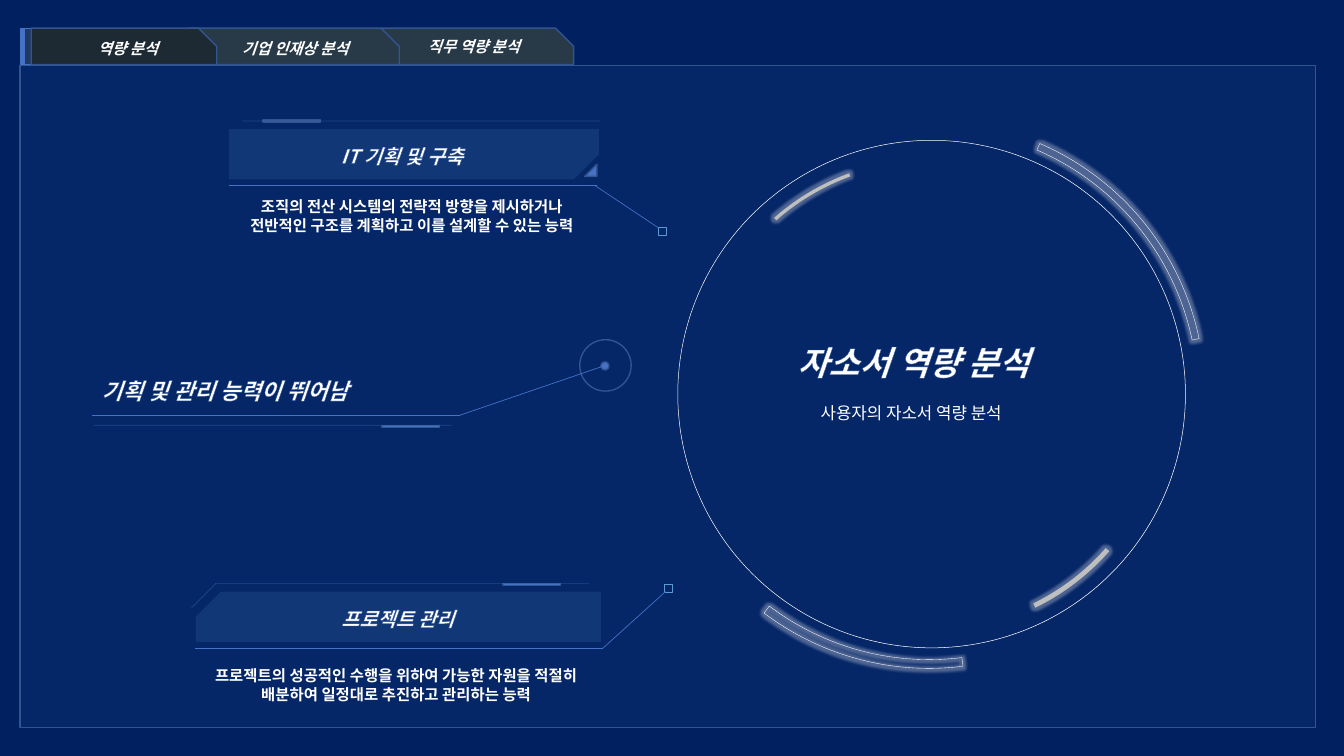
from dataclasses import dataclass

from lxml import etree
from pptx import Presentation
from pptx.dml.color import RGBColor
from pptx.enum.shapes import MSO_CONNECTOR, MSO_SHAPE as Shape
from pptx.enum.text import MSO_ANCHOR, MSO_AUTO_SIZE, PP_ALIGN as Align
from pptx.oxml.ns import qn
from pptx.util import Inches, Pt

NAVY = RGBColor(0x00, 0x20, 0x60)
WHITE = RGBColor(0xFF, 0xFF, 0xFF)
SILVER = RGBColor(0xBF, 0xBF, 0xBF)
BLUE = RGBColor(0x44, 0x72, 0xC4)
EDGE = RGBColor(0x32, 0x54, 0x91)
DEEP = RGBColor(0x20, 0x38, 0x64)
SKY = RGBColor(0x5B, 0x9B, 0xD5)
OUTLINE = RGBColor(0x2F, 0x55, 0x97)
SLATE = RGBColor(0x28, 0x3A, 0x48)
DARK_SLATE = RGBColor(0x1D, 0x29, 0x33)
FONT = "Noto Sans CJK KR"

Box = tuple[float, float, float, float]
Point = tuple[float, float]


@dataclass
class Part:
    kind: Shape
    box: Box
    fill: RGBColor | None = None
    line: RGBColor | None = None
    width: float = 1
    alpha: int = 100
    adjust: tuple[float, ...] = ()
    flip: str = ""
    rotation: float = 0
    glow: bool = False


@dataclass
class Label:
    text: str
    box: Box
    size: int
    bold: bool = True
    italic: bool = True
    outlined: bool = False
    align: Align = Align.CENTER


@dataclass
class Rule:
    start: Point
    end: Point
    color: RGBColor = BLUE
    alpha: int = 100


@dataclass
class Arc:
    box: Box
    rotation: float
    start: float
    end: float
    thickness: float
    fill: RGBColor | None = None
    glow: bool = True


prs = Presentation()
prs.slide_width, prs.slide_height = Inches(13.33), Inches(7.5)
slide = prs.slides.add_slide(prs.slide_layouts[6])
slide.background.fill.solid()
slide.background.fill.fore_color.rgb = NAVY


def set_alpha(holder, percent: int) -> None:
    if percent < 100:
        color = next(holder.iter(qn("a:srgbClr")))
        etree.SubElement(color, qn("a:alpha"), val=str(percent * 1000))


def add_glow(holder) -> None:
    effects = holder.find(qn("a:effectLst"))
    glow = etree.SubElement(effects, qn("a:glow"), rad=str(Pt(4)))
    color = etree.SubElement(glow, qn("a:srgbClr"), val=str(WHITE))
    etree.SubElement(color, qn("a:alpha"), val="30000")


def draw_part(part: Part) -> None:
    shape = slide.shapes.add_shape(part.kind, *map(Inches, part.box))
    shape.shadow.inherit = False
    shape.rotation = part.rotation
    for index, value in enumerate(part.adjust):
        shape.adjustments[index] = value
    if part.fill is None:
        shape.fill.background()
    else:
        shape.fill.solid()
        shape.fill.fore_color.rgb = part.fill
        set_alpha(shape._element.spPr, part.alpha)
    if part.line is None:
        shape.line.fill.background()
    else:
        shape.line.color.rgb = part.line
        shape.line.width = Pt(part.width)
    if part.flip:
        shape._element.spPr.find(qn("a:xfrm")).set(part.flip, "1")
    if part.glow:
        add_glow(shape._element.spPr)


def draw_label(label: Label) -> None:
    frame = slide.shapes.add_textbox(*map(Inches, label.box)).text_frame
    frame_format = {"word_wrap": True, "auto_size": MSO_AUTO_SIZE.SHAPE_TO_FIT_TEXT,
                    "vertical_anchor": MSO_ANCHOR.TOP}
    for name, value in frame_format.items():
        setattr(frame, name, value)
    paragraph = frame.paragraphs[0]
    paragraph.alignment = label.align
    run = paragraph.add_run()
    run.text = label.text
    font_format = {"name": FONT, "size": Pt(label.size), "bold": label.bold, "italic": label.italic}
    for name, value in font_format.items():
        setattr(run.font, name, value)
    run.font.color.rgb = WHITE
    properties = run.font._element
    properties.find(qn("a:latin")).addnext(etree.Element(qn("a:ea"), typeface=FONT))
    if label.outlined:
        stroke = etree.Element(qn("a:ln"), w=str(Pt(0.25)))
        paint = etree.SubElement(stroke, qn("a:solidFill"))
        etree.SubElement(paint, qn("a:srgbClr"), val=str(OUTLINE))
        properties.insert(0, stroke)


def draw_rule(rule: Rule) -> None:
    connector = slide.shapes.add_connector(
        MSO_CONNECTOR.STRAIGHT, *map(Inches, (*rule.start, *rule.end)))
    connector.line.color.rgb = rule.color
    connector.line.width = Pt(0.5)
    set_alpha(connector.line._get_or_add_ln(), rule.alpha)
    etree.SubElement(connector._element.spPr, qn("a:effectLst"))


def draw_arc(arc: Arc) -> None:
    # Angles are stored in 60000ths of a degree, adjustments in 100000ths
    draw_part(Part(Shape.BLOCK_ARC, arc.box, arc.fill, None if arc.fill else WHITE, 0.25,
                   adjust=(arc.start * 0.6, arc.end * 0.6, arc.thickness),
                   rotation=arc.rotation, glow=arc.glow))


def tab(left: float, width: float, fill: RGBColor) -> Part:
    return Part(Shape.SNIP_1_RECTANGLE, (left, 0.28, width, 0.36), fill, EDGE, adjust=(0.5,))


def accent(left: float, top: float) -> Part:
    return Part(Shape.RECTANGLE, (left, top, 0.57, 0.02), BLUE, EDGE)


def node(left: float, top: float) -> Part:
    return Part(Shape.RECTANGLE, (left, top, 0.08, 0.08), None, SKY, 0.5)


def banner(left: float, top: float, width: float, flip: str) -> Part:
    return Part(Shape.SNIP_1_RECTANGLE, (left, top, width, 0.5), SKY,
                alpha=15, adjust=(0.5,), flip=flip)


PARTS = [
    # Tabs and main panel
    tab(3.78, 1.91, SLATE),
    tab(1.87, 2.09, SLATE),
    Part(Shape.ROUNDED_RECTANGLE, (0.2, 0.65, 12.85, 6.57), BLUE, EDGE, alpha=8, adjust=(0,)),
    Part(Shape.RECTANGLE, (0.2, 0.28, 0.04, 0.36), BLUE, BLUE, 0.5),
    Part(Shape.RECTANGLE, (0.24, 0.28, 0.08, 0.36), DEEP, BLUE, 0.5),
    tab(0.31, 1.84, DARK_SLATE),
    # Project management
    node(6.59, 5.8), banner(1.94, 5.87, 4.02, "flipH"), accent(4.99, 5.79),
    # IT planning
    node(6.53, 2.26), banner(2.27, 1.28, 3.67, "flipV"), accent(2.61, 1.19),
    Part(Shape.RIGHT_TRIANGLE, (5.8, 1.63, 0.12, 0.12), BLUE, EDGE, flip="flipH"),
    # Overall strength
    Part(Shape.OVAL, (5.75, 3.37, 0.51, 0.51), None, EDGE),
    Part(Shape.OVAL, (5.96, 3.59, 0.08, 0.08), BLUE, EDGE),
    accent(3.79, 4.22),
]

RULES = [
    # Project management
    Rule((6.6, 5.87), (5.98, 6.43)),
    Rule((5.98, 6.43), (1.93, 6.43)),
    Rule((5.84, 5.79), (2.13, 5.79), SKY, 30),
    Rule((1.9, 6.03), (2.14, 5.79), SKY, 30),
    # IT planning
    Rule((6.53, 2.26), (5.9, 1.84)),
    Rule((5.92, 1.84), (2.27, 1.84)),
    Rule((5.95, 1.2), (2.4, 1.2), SKY, 30),
    # Overall strength
    Rule((4.56, 4.12), (0.91, 4.12)),
    Rule((5.99, 3.63), (4.56, 4.12)),
    Rule((4.48, 4.22), (0.93, 4.22), SKY, 30),
]

# Dial: outer arcs, full ring, inner bars
ARCS = [
    Arc((6.5, 1.2, 5.43, 5.43), 280, 162.88, 207.07, 0.016),
    Arc((6.52, 1.2, 5.43, 5.43), 187.1, 106.27, 161.07, 0.013),
    Arc((6.72, 1.39, 5.04, 5.04), 38, 163.26, 163.19, 0.001, WHITE, glow=False),
    Arc((6.88, 1.57, 4.72, 4.73), 111.2, 117.43, 138.51, 0.007, SILVER),
    Arc((6.87, 1.55, 4.72, 4.72), 276.2, 125.13, 147.68, 0.01, SILVER),
]

LABELS = [
    Label("직무 역량 분석", (3.88, 0.32, 1.64, 0.29), 11),
    Label("기업 인재상 분석", (2.03, 0.34, 1.8, 0.29), 11),
    Label("역량 분석", (0.29, 0.34, 1.96, 0.29), 11),
    Label("프로젝트 관리", (3, 5.97, 1.89, 0.34), 14, outlined=True),
    Label("프로젝트의 성공적인 수행을 위하여 가능한 자원을 적절히 배분하여 일정대로 추진하고 관리하는 능력",
          (1.9, 6.56, 4.06, 0.47), 11, italic=False),
    Label("IT 기획 및 구축", (3.04, 1.38, 1.89, 0.34), 14, outlined=True),
    Label("조직의 전산 시스템의 전략적 방향을 제시하거나 전반적인 구조를 계획하고 이를 설계할 수 있는 능력",
          (2.24, 1.91, 3.69, 0.47), 11, italic=False),
    Label("기획 및 관리 능력이 뛰어남", (0.91, 3.69, 3.6, 0.37), 16, outlined=True, align=Align.LEFT),
    Label("자소서 역량 분석", (7.81, 3.34, 2.85, 0.5), 24, outlined=True, align=Align.LEFT),
    Label("사용자의 자소서 역량 분석", (8.04, 3.95, 2.41, 0.3), 12, False, False, align=Align.LEFT),
]

for draw, items in ((draw_part, PARTS), (draw_rule, RULES), (draw_arc, ARCS), (draw_label, LABELS)):
    for item in items:
        draw(item)

prs.save("out.pptx")
